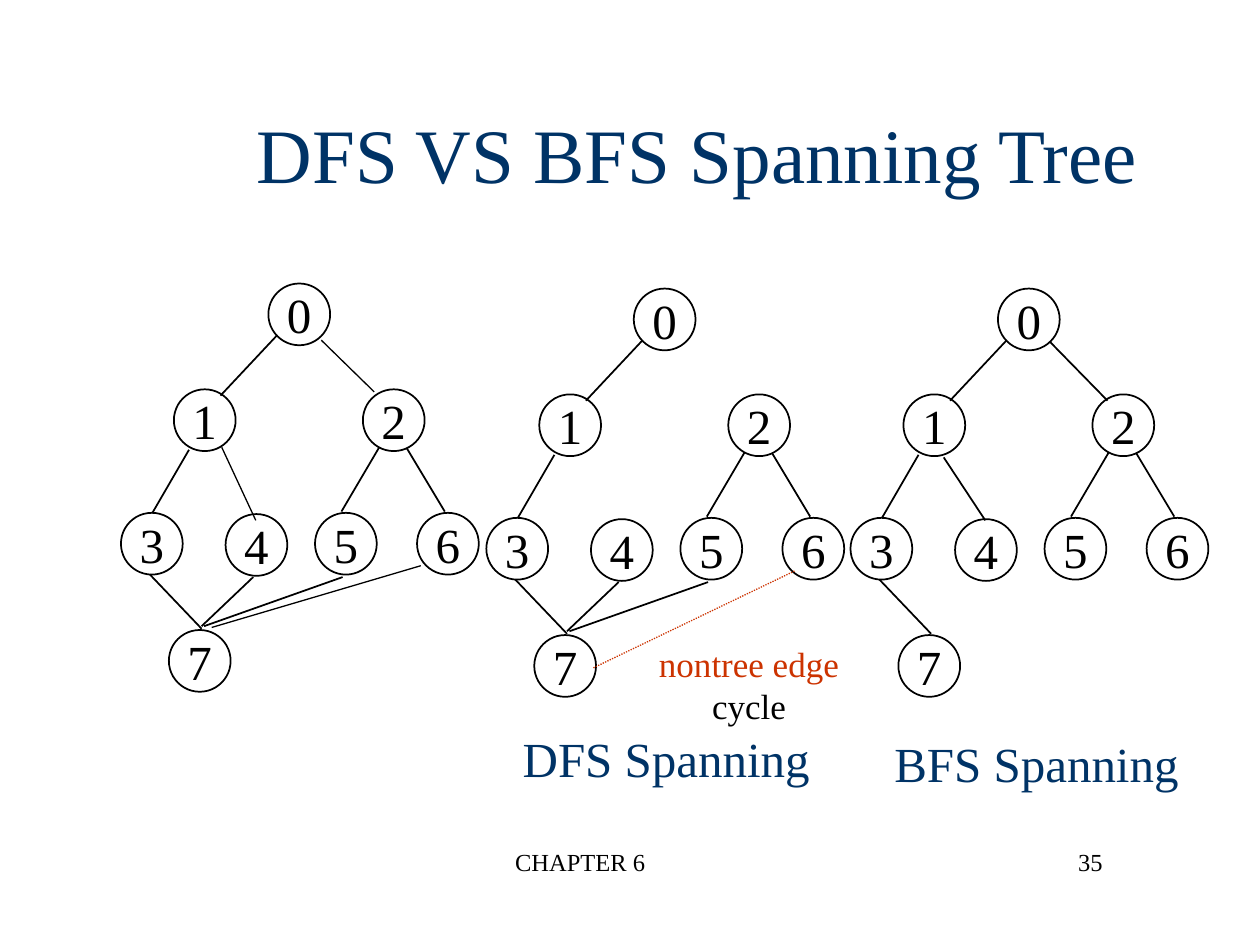
from lxml import etree
from pptx import Presentation
from pptx.dml.color import RGBColor
from pptx.enum.dml import MSO_LINE
from pptx.enum.shapes import MSO_CONNECTOR, MSO_SHAPE
from pptx.enum.text import MSO_ANCHOR, MSO_AUTO_SIZE, PP_ALIGN
from pptx.oxml.ns import qn
from pptx.util import Pt

LEFT, MID, RIGHT = PP_ALIGN.LEFT, PP_ALIGN.CENTER, PP_ALIGN.RIGHT
TOP, CENTER = MSO_ANCHOR.TOP, MSO_ANCHOR.MIDDLE
GROW = MSO_AUTO_SIZE.SHAPE_TO_FIT_TEXT
DOT = MSO_LINE.ROUND_DOT
OVAL, LINE = MSO_SHAPE.OVAL, MSO_CONNECTOR.STRAIGHT

SCALE = 9144  # EMU per px, at 100 px to the inch
FONT = "Times New Roman"
BLACK, WHITE, NAVY, RED = "000000", "FFFFFF", "003366", "CC3300"

SIZE = 49
# Node places, from the left of node 3 and the top of node 0
NODES = [(117, 0), (42, 84), (192, 84), (0, 182),
         (83, 183), (154, 182), (235, 182), (38, 275)]
# Edge ends by the pair of nodes they join
EDGES = {
    "01": (124, 41, 79, 89),
    "02": (158, 42, 204, 89),
    "13": (54, 132, 25, 182),
    "14": (74, 134, 107, 184),
    "25": (205, 130, 175, 181),
    "26": (227, 131, 257, 181),
    "37": (23, 231, 64, 274),
    "47": (64, 272, 105, 233),
    "57": (66, 272, 176, 233),
}
# Finer lines, drawn in the full graph only
THIN = [(159, 45, 201, 86), (80, 130, 107, 188), (72, 273, 238, 224)]
LOOSE = (85, 301, 245, 224)

FULL, DFS, BFS = (96, 225), (386, 229), (675, 229)
TREES = [
    (FULL, "01 13 25 26 37 47 57"),
    (DFS, "01 13 25 26 37 47 57"),
    (BFS, "01 02 13 14 25 26 37"),
]


def px(*vals):
    return [v * SCALE for v in vals]


def rgb(code):
    return RGBColor.from_string(code)


def put(obj, form):
    """Set each attribute of obj from a dict of format values."""
    for name, val in form.items():
        setattr(obj, name, val)


def write(shape, rows, size, align, frame):
    """Fill a shape with rows of (text, colour)."""
    body = shape.text_frame
    put(body, frame)
    for i, (text, code) in enumerate(rows):
        para = body.add_paragraph() if i else body.paragraphs[0]
        para.alignment = align
        run = para.add_run()
        run.text = text
        put(run.font, {"name": FONT, "size": Pt(size)})
        run.font.color.rgb = rgb(code)


def label(slide, box, rows, size, align, anchor=TOP, wrap=True):
    shape = slide.shapes.add_textbox(*px(*box))
    frame = {"word_wrap": wrap, "vertical_anchor": anchor}
    if not wrap:
        frame["auto_size"] = GROW
    write(shape, rows, size, align, frame)


def node(slide, x, y, text):
    shape = slide.shapes.add_shape(OVAL, *px(x, y, SIZE, SIZE))
    shape.shadow.inherit = False
    shape.fill.solid()
    shape.fill.fore_color.rgb = rgb(WHITE)
    shape.line.color.rgb = rgb(BLACK)
    shape.line.width = Pt(1)
    frame = {"word_wrap": False, "vertical_anchor": CENTER}
    write(shape, [(text, BLACK)], 28, MID, frame)


def edge(slide, base, ends, width=1, code=BLACK, dash=None):
    x, y = base
    x1, y1, x2, y2 = ends
    line = slide.shapes.add_connector(LINE, *px(x + x1, y + y1, x + x2, y + y2))
    etree.SubElement(line._element.spPr, qn("a:effectLst"))
    line.line.color.rgb = rgb(code)
    put(line.line, {"width": Pt(width), "dash_style": dash})


def tree(slide, base, pairs):
    x, y = base
    for i, (dx, dy) in enumerate(NODES):
        node(slide, x + dx, y + dy, str(i))
    for pair in pairs.split():
        edge(slide, base, EDGES[pair])


def main():
    deck = Presentation()
    wide, high = px(1000, 750)
    put(deck, {"slide_width": wide, "slide_height": high})
    slide = deck.slides.add_slide(deck.slide_layouts[6])

    label(slide, (302, 667, 317, 50), [("CHAPTER 6", BLACK)], 14, MID)
    label(slide, (677, 667, 208, 50), [("35", BLACK)], 14, RIGHT)
    label(slide, (107, 59, 893, 125),
          [("DFS VS BFS Spanning Tree", NAVY)], 44, MID, CENTER)

    for base, pairs in TREES:
        tree(slide, base, pairs)
    for ends in THIN:
        edge(slide, FULL, ends, 0.75)
    edge(slide, DFS, LOOSE, 0.75, RED, DOT)

    label(slide, (405, 573, 248, 57),
          [("DFS Spanning", NAVY)], 28, LEFT, wrap=False)
    label(slide, (700, 577, 246, 57),
          [("BFS Spanning", NAVY)], 28, LEFT, wrap=False)
    label(slide, (513, 505, 163, 77),
          [("nontree edge", RED), ("cycle", BLACK)], 20, MID, CENTER, False)

    deck.save("out.pptx")


if __name__ == "__main__":
    main()
